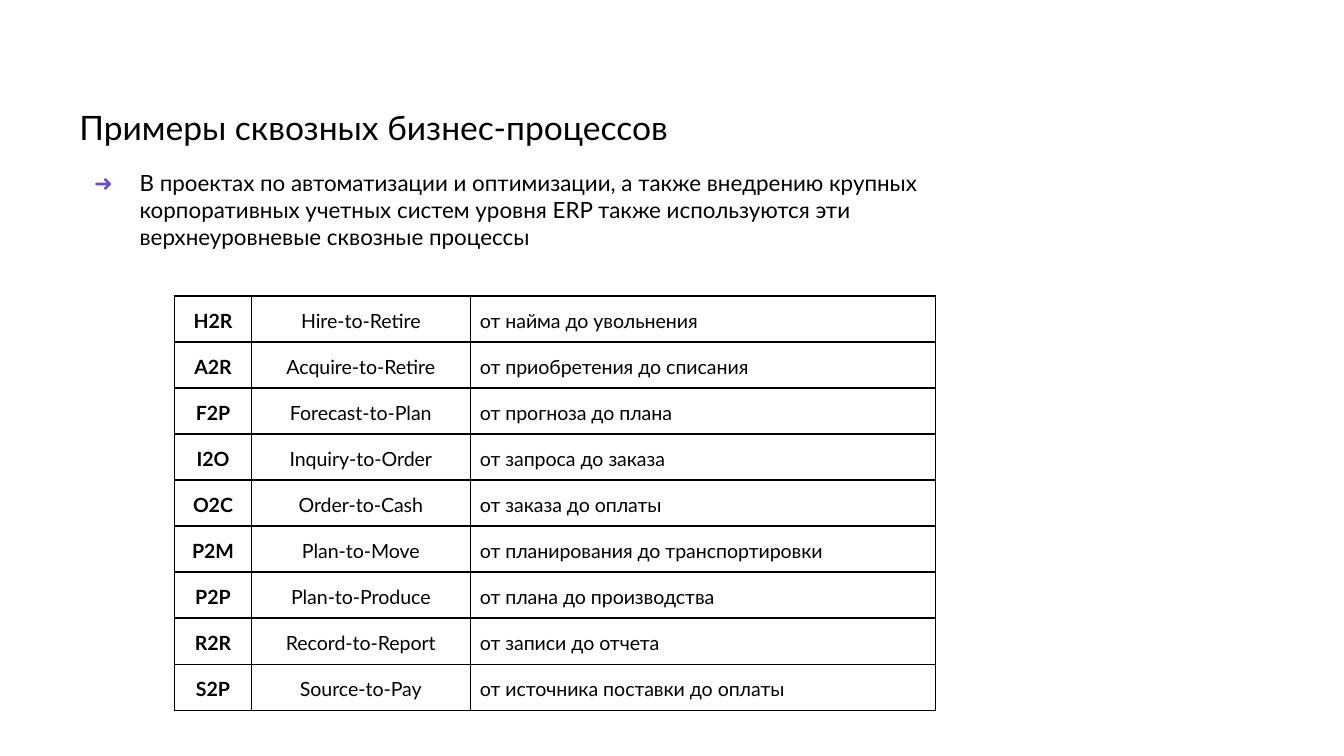
"""Build the slide that lists end-to-end business processes."""
from typing import NamedTuple

import pptx
import pptx.dml.color
import pptx.enum.text
import pptx.oxml
import pptx.oxml.ns
import pptx.util

Cm = pptx.util.Cm
Pt = pptx.util.Pt
PP_ALIGN = pptx.enum.text.PP_ALIGN

COLORS = {"text": "000000", "border": "000000", "cell": "FFFFFF", "bullet": "684AE0"}
FONT = "Lato"
LEFT, WIDTH = 1.5, 16.56
COLUMN_WIDTHS = (1.45, 4.14, 8.79)
ROW_HEIGHT = 0.86
CELL_INSET = 0.18


class Process(NamedTuple):
    """One end-to-end process."""

    code: str
    name: str
    meaning: str


class TextBlock(NamedTuple):
    """A block of text above the table."""

    text: str
    top: float
    height: float
    inset_top: float
    size: float
    bulleted: bool


BLOCKS = (
    TextBlock("Примеры сквозных бизнес-процессов", 2.0, 0.79, 0.03, 18, False),
    TextBlock(
        "В проектах по автоматизации и оптимизации, а также внедрению крупных "
        "корпоративных учетных систем уровня ERP также используются эти "
        "верхнеуровневые сквозные процессы",
        2.97, 1.98, 0.23, 12, True,
    ),
)

PROCESSES = (
    Process("H2R", "Hire-to-Retire", "от найма до увольнения"),
    Process("A2R", "Acquire-to-Retire", "от приобретения до списания"),
    Process("F2P", "Forecast-to-Plan", "от прогноза до плана"),
    Process("I2O", "Inquiry-to-Order", "от запроса до заказа"),
    Process("O2C", "Order-to-Cash", "от заказа до оплаты"),
    Process("P2M", "Plan-to-Move", "от планирования до транспортировки"),
    Process("P2P", "Plan-to-Produce", "от плана до производства"),
    Process("R2R", "Record-to-Report", "от записи до отчета"),
    Process("S2P", "Source-to-Pay", "от источника поставки до оплаты"),
)


def rgb(role: str) -> pptx.dml.color.RGBColor:
    """Return the colour of a role."""
    return pptx.dml.color.RGBColor.from_string(COLORS[role])


def append_xml(parent, xml: str) -> None:
    """Append a drawing element written without its namespace."""
    tag, rest = xml[1:].split(" ", 1)
    namespace = pptx.oxml.ns.nsdecls("a")
    parent.append(pptx.oxml.parse_xml(f"<{tag} {namespace} {rest}"))


def set_font(paragraph, size: float, bold: bool = False) -> None:
    """Set the font of a whole paragraph."""
    font = paragraph.font
    font.name, font.size, font.bold = FONT, Pt(size), bold
    font.color.rgb = rgb("text")


def add_bullet(paragraph) -> None:
    """Give a paragraph an arrow bullet with a hanging indent."""
    properties = paragraph._p.get_or_add_pPr()
    properties.set("marL", str(Cm(1.14)))
    properties.set("indent", str(-Cm(0.86)))
    append_xml(properties, f'<a:buClr ><a:srgbClr val="{COLORS["bullet"]}"/></a:buClr>')
    append_xml(properties, f'<a:buFont typeface="{FONT}"/>')
    append_xml(properties, '<a:buChar char="➜"/>')


def draw_block(slide, block: TextBlock) -> None:
    """Draw a block of text."""
    box = slide.shapes.add_textbox(Cm(LEFT), Cm(block.top), Cm(WIDTH), Cm(block.height))
    frame = box.text_frame
    frame.word_wrap = True
    frame.auto_size = pptx.enum.text.MSO_AUTO_SIZE.SHAPE_TO_FIT_TEXT
    frame.margin_left = frame.margin_right = frame.margin_bottom = 0
    frame.margin_top = Cm(block.inset_top)
    paragraph = frame.paragraphs[0]
    paragraph.text = block.text
    if block.bulleted:
        add_bullet(paragraph)
    set_font(paragraph, block.size)


def fill_cell(cell, text: str, align: PP_ALIGN, bold: bool) -> None:
    """Write and style one table cell."""
    cell.margin_left = cell.margin_right = Cm(CELL_INSET)
    cell.margin_top = cell.margin_bottom = Cm(CELL_INSET)
    for side in "LRTB":
        append_xml(
            cell._tc.get_or_add_tcPr(),
            f'<a:ln{side} w="{Pt(1)}"><a:solidFill>'
            f'<a:srgbClr val="{COLORS["border"]}"/></a:solidFill></a:ln{side}>',
        )
    cell.fill.solid()
    cell.fill.fore_color.rgb = rgb("cell")
    paragraph = cell.text_frame.paragraphs[0]
    paragraph.text = text
    paragraph.alignment = align
    paragraph.line_spacing = 1.15
    set_font(paragraph, 10.5, bold)


def draw_processes(slide, processes: tuple[Process, ...]) -> None:
    """Draw the table of processes."""
    table = slide.shapes.add_table(
        len(processes), len(COLUMN_WIDTHS), Cm(3.3), Cm(5.59),
        Cm(sum(COLUMN_WIDTHS)), Cm(ROW_HEIGHT * len(processes)),
    ).table
    table.first_row = table.horz_banding = False
    for column, width in zip(table.columns, COLUMN_WIDTHS):
        column.width = Cm(width)
    for row, process in zip(table.rows, processes):
        row.height = Cm(ROW_HEIGHT)
        code, name, meaning = row.cells
        fill_cell(code, process.code, PP_ALIGN.CENTER, True)
        fill_cell(name, process.name, PP_ALIGN.CENTER, False)
        fill_cell(meaning, process.meaning, PP_ALIGN.LEFT, False)


def main() -> None:
    """Build and save the presentation."""
    presentation = pptx.Presentation()
    presentation.slide_width, presentation.slide_height = Cm(25.4), Cm(14.29)
    slide = presentation.slides.add_slide(presentation.slide_layouts[6])
    for block in BLOCKS:
        draw_block(slide, block)
    draw_processes(slide, PROCESSES)
    presentation.save("out.pptx")


if __name__ == "__main__":
    main()
